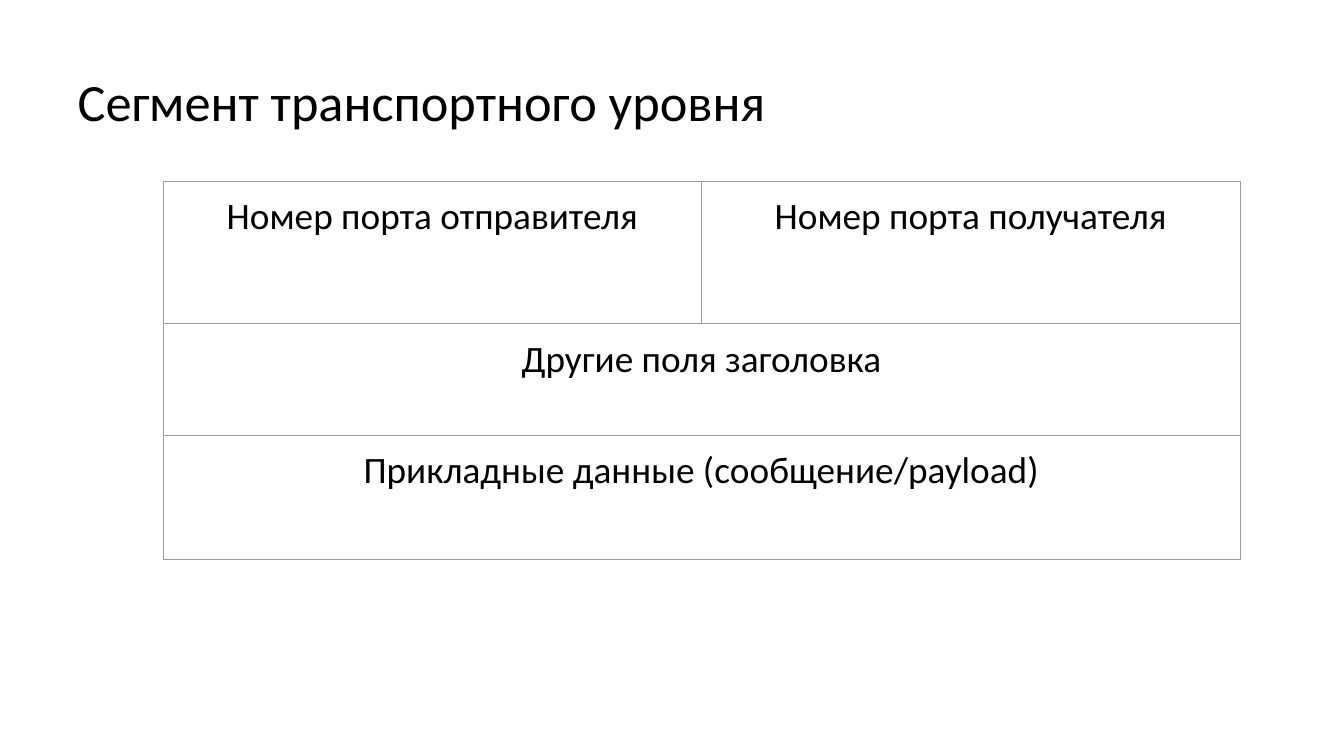
"""Build the slide that shows the layout of a transport layer segment."""
from dataclasses import dataclass

from lxml.etree import SubElement
from pptx import Presentation
from pptx.dml.color import RGBColor
from pptx.enum.text import MSO_ANCHOR, MSO_AUTO_SIZE, PP_ALIGN
from pptx.oxml.ns import qn
from pptx.slide import Slide
from pptx.table import _Cell as Cell
from pptx.text.text import _Paragraph as Paragraph
from pptx.util import Inches, Pt


@dataclass(frozen=True)
class Theme:
    font: str = "Calibri"
    text: str = "000000"
    border: str = "9E9E9E"
    border_width: float = 0.75
    title_size: float = 37.4
    cell_size: float = 26.6
    cell_margin: float = 0.13


@dataclass(frozen=True)
class SegmentRow:
    height: float
    fields: tuple[str, ...]


THEME = Theme()
COLUMN_WIDTH = 5.34
COLUMNS = 2
SEGMENT = (
    SegmentRow(1.41, ("Номер порта отправителя", "Номер порта получателя")),
    SegmentRow(1.11, ("Другие поля заголовка",)),
    SegmentRow(1.23, ("Прикладные данные (сообщение/payload)",)),
)


def format_text(p: Paragraph, size: float, align: PP_ALIGN) -> None:
    p.alignment = align
    for r in p.runs:
        r.font.name = THEME.font
        r.font.size = Pt(size)
        r.font.color.rgb = RGBColor.from_string(THEME.text)


def add_title(slide: Slide, text: str) -> None:
    sp = slide.shapes.title
    sp.left, sp.top = Inches(0.67), Inches(0.72)
    sp.width, sp.height = Inches(12), Inches(0.64)
    tf = sp.text_frame
    tf.text = text
    tf.word_wrap = True
    tf.auto_size = MSO_AUTO_SIZE.NONE
    tf.vertical_anchor = MSO_ANCHOR.MIDDLE
    p = tf.paragraphs[0]
    p.line_spacing = 0.9
    format_text(p, THEME.title_size, PP_ALIGN.LEFT)


def style_cell(cell: Cell) -> None:
    props = cell._tc.get_or_add_tcPr()
    for side in ("a:lnL", "a:lnR", "a:lnT", "a:lnB"):
        ln = SubElement(props, qn(side), w=str(Pt(THEME.border_width)))
        fill = SubElement(ln, qn("a:solidFill"))
        SubElement(fill, qn("a:srgbClr"), val=THEME.border)
    cell.fill.background()
    margin = Inches(THEME.cell_margin)
    cell.margin_left = cell.margin_right = margin
    cell.margin_top = cell.margin_bottom = margin
    cell.vertical_anchor = MSO_ANCHOR.TOP


def add_segment(slide: Slide, rows: tuple[SegmentRow, ...]) -> None:
    height = sum(row.height for row in rows)
    table = slide.shapes.add_table(
        len(rows), COLUMNS, Inches(1.62), Inches(1.8),
        Inches(COLUMNS * COLUMN_WIDTH), Inches(height)).table
    table.first_row = table.horz_banding = False
    for column in table.columns:
        column.width = Inches(COLUMN_WIDTH)
    for i, row in enumerate(rows):
        table.rows[i].height = Inches(row.height)
        for j in range(COLUMNS):
            style_cell(table.cell(i, j))
        if len(row.fields) == 1:
            table.cell(i, 0).merge(table.cell(i, COLUMNS - 1))
        for j, field in enumerate(row.fields):
            tf = table.cell(i, j).text_frame
            tf.text = field
            format_text(tf.paragraphs[0], THEME.cell_size, PP_ALIGN.CENTER)


def main() -> None:
    prs = Presentation()
    prs.slide_width, prs.slide_height = Inches(13.33), Inches(7.5)
    slide = prs.slides.add_slide(prs.slide_layouts.get_by_name("Title Only"))
    add_title(slide, "Сегмент транспортного уровня")
    add_segment(slide, SEGMENT)
    prs.save("out.pptx")


if __name__ == "__main__":
    main()
